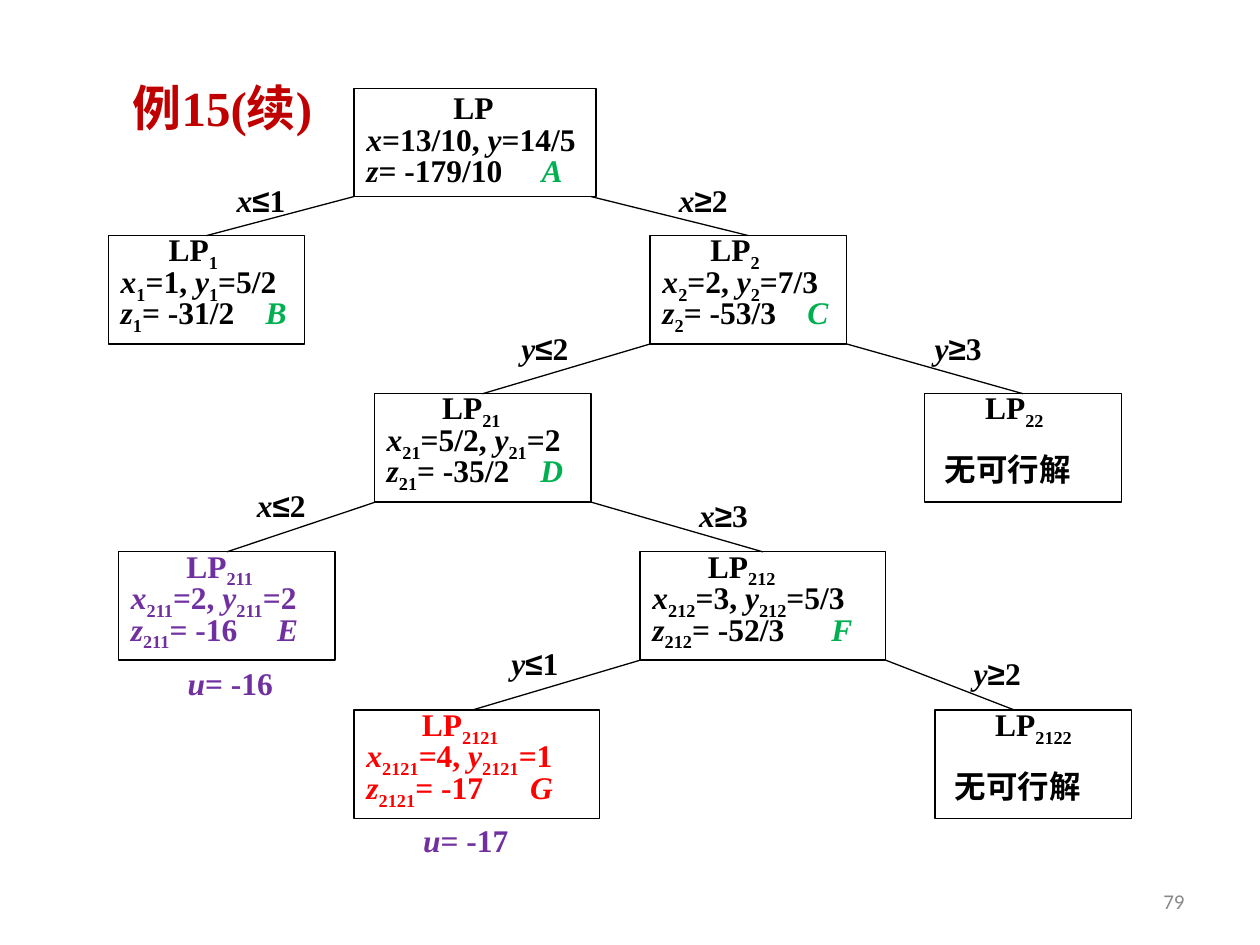
from lxml.etree import SubElement
from pptx import Presentation
from pptx.dml.color import RGBColor
from pptx.enum.shapes import MSO_CONNECTOR as Line, MSO_SHAPE as Shape
from pptx.enum.text import MSO_ANCHOR as Anchor, PP_ALIGN as Align
from pptx.oxml.ns import qn
from pptx.util import Inches, Pt

BLACK, WHITE, GREEN, PURPLE, RED = "000000", "FFFFFF", "00B050", "7030A0", "FF0000"
ROW_TOPS = [0.7] + [1.87 + 1.255 * step for step in range(4)]
NODE_HEIGHT = 0.86


def rgb(code):
    return RGBColor.from_string(code)


class TreeSlide:
    serif, sans, chinese = "Times New Roman", "Arial", "Noto Sans CJK SC"
    size = 18

    def __init__(self, slide):
        self.slide = slide

    def paragraph(self, frame, runs, color=BLACK, size=None, font=None, bold=True,
                  align=Align.JUSTIFY, spacing=None, indent=0, tab=None):
        first = frame.paragraphs[0]
        line = frame.add_paragraph() if first.runs else first
        line.alignment = align
        if spacing:
            line.line_spacing = spacing
        properties = line._p.get_or_add_pPr()
        if indent:
            properties.set("marL", str(Inches(indent)))
            properties.set("indent", "0")
        if tab:
            stops = SubElement(properties, qn("a:tabLst"))
            SubElement(stops, qn("a:tab"), pos=str(Inches(tab)), algn="l")
        line.font.name = font or self.serif
        line.font.size = Pt(size or self.size)
        line.font.bold = bold
        line.font.color.rgb = rgb(color)
        for text, style in runs:
            run = line.add_run()
            run.text = text
            if style == "italic":
                run.font.italic = True
            elif style == "sub":
                run.font._element.set("baseline", "-25000")
            elif style == "sign":
                run.font.name = self.sans
            elif style == "chinese":
                SubElement(run.font._element, qn("a:ea"), typeface=self.chinese)
            elif style:
                run.font.italic = True
                run.font.color.rgb = rgb(style)

    def text(self, left, top, width, height, runs, anchor=Anchor.TOP, **style):
        box = self.slide.shapes.add_textbox(*map(Inches, (left, top, width, height)))
        box.text_frame.word_wrap = True
        box.text_frame.vertical_anchor = anchor
        self.paragraph(box.text_frame, runs, **style)

    def box(self, left, row, width):
        node = self.slide.shapes.add_shape(
            Shape.RECTANGLE, *map(Inches, (left, ROW_TOPS[row], width, NODE_HEIGHT)))
        node.shadow.inherit = False
        node.fill.solid()
        node.fill.fore_color.rgb = rgb(WHITE)
        node.line.color.rgb = rgb(BLACK)
        node.line.width = Pt(0.75)
        node.text_frame.word_wrap = True
        node.text_frame.vertical_anchor = Anchor.TOP
        return node

    def heading(self, node, index, indent, color=BLACK):
        runs = [("LP", None)] + ([(index, "sub")] if index else [])
        self.paragraph(node.text_frame, runs, color, spacing=Pt(18), indent=indent)

    def solved(self, left, row, width, index, indent, values, tag, tab,
               color=BLACK, tag_color=GREEN):
        node = self.box(left, row, width)
        self.heading(node, index, indent, color)
        x, y, z = ([(name, "italic")] + ([(index, "sub")] if index else []) + [(value, None)]
                   for name, value in zip("xyz", values))
        self.paragraph(node.text_frame, x + y, color, spacing=Pt(18))
        self.paragraph(node.text_frame, z + [("\t", None), (tag, tag_color)], color,
                       spacing=Pt(18), tab=tab)
        return node

    def infeasible(self, left, row, index):
        node = self.box(left, row, 1.56)
        self.heading(node, index, 0.38)
        self.paragraph(node.text_frame, [("无可行解", "chinese")], font=self.chinese,
                       spacing=1.5, indent=0.06)
        return node

    def branch(self, start_x, row, end_x, child=None):
        points = start_x, ROW_TOPS[row] + NODE_HEIGHT, end_x, ROW_TOPS[row + 1]
        edge = self.slide.shapes.add_connector(Line.STRAIGHT, *map(Inches, points))
        edge.line.color.rgb = rgb(BLACK)
        edge.line.width = Pt(0.75)
        SubElement(edge._element.spPr, qn("a:effectLst"))
        if child is not None:
            edge.end_connect(child, 0)

    def condition(self, left, top, name, sign, bound):
        self.text(left, top, 0.8, 0.41, [(name, "italic"), (sign, "sign"), (bound, None)])

    def bound(self, left, top, value):
        self.text(left, top, 1.04, 0.41, [("u", "italic"), ("= " + value, None)],
                  color=PURPLE)


def main():
    deck = Presentation()
    deck.slide_width, deck.slide_height = Inches(10), Inches(7.5)
    tree = TreeSlide(deck.slides.add_slide(deck.slide_layouts[6]))

    tree.text(0.63, 0.52, 2.27, 0.65,
              [("例", "chinese"), ("15(", None), ("续", "chinese"), (")", None)],
              Anchor.MIDDLE, color="C00000", size=28, align=Align.CENTER)
    tree.text(7.17, 6.95, 2.33, 0.4, [("79", None)], Anchor.MIDDLE, color="898989",
              size=12, font="Calibri", bold=False, align=Align.RIGHT)

    tree.solved(2.81, 0, 1.92, "", 0.69, ("=13/10, ", "=14/5", "= -179/10"), "A", 1.39)
    lp1 = tree.solved(0.86, 1, 1.56, "1", 0.38, ("=1, ", "=5/2", "= -31/2"), "B", 1.15)
    lp2 = tree.solved(5.16, 1, 1.56, "2", 0.38, ("=2, ", "=7/3", "= -53/3"), "C", 1.15)
    lp21 = tree.solved(2.97, 2, 1.72, "21", 0.44, ("=5/2, ", "=2", "= -35/2"), "D", 1.22)
    lp22 = tree.infeasible(7.34, 2, "22")
    lp211 = tree.solved(0.94, 3, 1.72, "211", 0.44, ("=2, ", "=2", "= -16"), "E", 1.16,
                        PURPLE, PURPLE)
    lp212 = tree.solved(5.08, 3, 1.95, "212", 0.44, ("=3, ", "=5/3", "= -52/3"), "F", 1.42)
    tree.solved(2.81, 4, 1.95, "2121", 0.44, ("=4, ", "=1", "= -17"), "G", 1.3, RED, RED)
    tree.infeasible(7.42, 4, "2122")

    for start_x, row, end_x, child in [
        (2.81, 0, 1.64, lp1), (4.69, 0, 5.94, lp2),
        (5.16, 1, 3.83, lp21), (6.72, 1, 8.12, lp22),
        (2.98, 2, 1.8, lp211), (4.69, 2, 6.06, lp212),
        (5.08, 3, 3.75, None), (7.03, 3, 8.05, None),
    ]:
        tree.branch(start_x, row, end_x, child)

    for left, top, name, sign, limit in [
        (1.78, 1.39, "x", "≤", "1"), (5.29, 1.39, "x", "≥", "2"),
        (4.04, 2.56, "y", "≤", "2"), (7.32, 2.56, "y", "≥", "3"),
        (1.94, 3.81, "x", "≤", "2"), (5.45, 3.89, "x", "≥", "3"),
        (3.96, 5.06, "y", "≤", "1"), (7.63, 5.14, "y", "≥", "2"),
    ]:
        tree.condition(left, top, name, sign, limit)

    tree.bound(1.39, 5.22, "-16")
    tree.bound(3.26, 6.47, "-17")
    deck.save("out.pptx")


if __name__ == "__main__":
    main()
